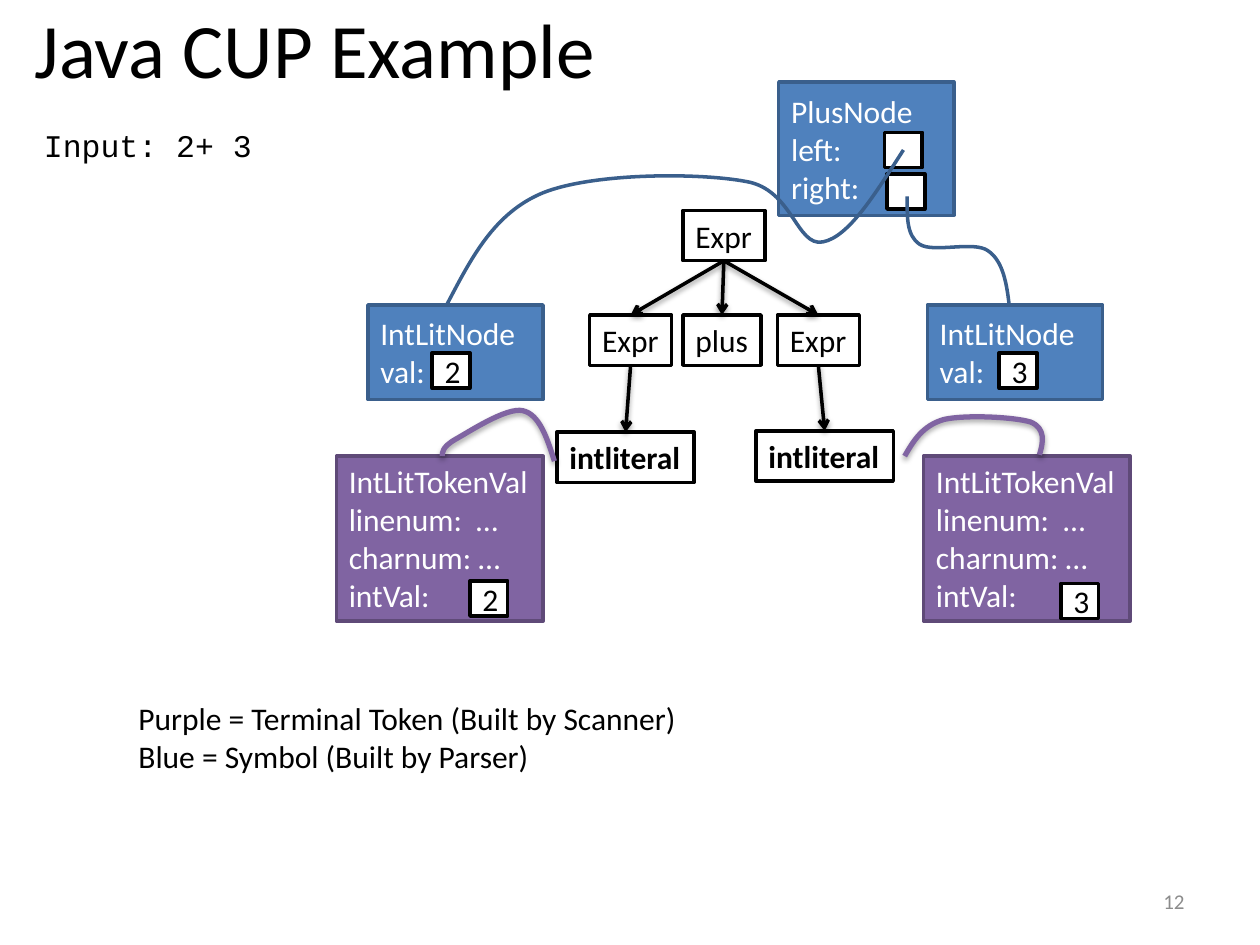
from lxml.etree import SubElement
from pptx import Presentation
from pptx.dml.color import RGBColor
from pptx.enum.shapes import MSO_CONNECTOR, MSO_SHAPE
from pptx.enum.text import MSO_ANCHOR, MSO_AUTO_SIZE, PP_ALIGN
from pptx.oxml.ns import qn
from pptx.util import Pt

PX = 9144  # EMU per px, 100 px to the inch

BLACK = RGBColor(0x00, 0x00, 0x00)
WHITE = RGBColor(0xFF, 0xFF, 0xFF)
GRAY = RGBColor(0x8C, 0x8C, 0x8C)
BLUE = RGBColor(0x4F, 0x81, 0xBD)
DARK_BLUE = RGBColor(0x3A, 0x5F, 0x8C)
PURPLE = RGBColor(0x80, 0x64, 0xA2)
DARK_PURPLE = RGBColor(0x5F, 0x4A, 0x78)

TOKEN_TEXT = "IntLitTokenVal\nlinenum:  …\ncharnum: …\nintVal:"


def emu(*lengths):
    return [length * PX for length in lengths]


def write(shape, text, size=18, color=BLACK, font="Calibri", bold=False,
          align=PP_ALIGN.LEFT, anchor=MSO_ANCHOR.TOP, grow=False):
    frame = shape.text_frame
    frame.text = text
    frame.word_wrap = not grow
    frame.auto_size = MSO_AUTO_SIZE.SHAPE_TO_FIT_TEXT if grow else MSO_AUTO_SIZE.NONE
    frame.vertical_anchor = anchor
    for paragraph in frame.paragraphs:
        paragraph.alignment = align
        for run in paragraph.runs:
            run.font.size = Pt(size)
            run.font.name = font
            run.font.bold = bold
            run.font.color.rgb = color


def add_label(slide, box, text, **style):
    write(slide.shapes.add_textbox(*emu(*box)), text, **style)


def add_box(slide, box, text="", fill=WHITE, line=BLACK, **style):
    shape = slide.shapes.add_shape(MSO_SHAPE.RECTANGLE, *emu(*box))
    shape.shadow.inherit = False
    shape.fill.solid()
    shape.fill.fore_color.rgb = fill
    shape.line.color.rgb = line
    shape.line.width = Pt(2)
    if text:
        write(shape, text, **style)
    return shape


def add_tree_node(slide, left, top, width, text, bold=False):
    return add_box(slide, (left, top, width, 40), text, bold=bold, grow=True)


def add_symbol(slide, left, top, height, text):
    add_box(slide, (left, top, 139, height), text, BLUE, DARK_BLUE,
            color=WHITE, anchor=MSO_ANCHOR.MIDDLE)


def add_token(slide, left):
    add_box(slide, (left, 362, 164, 131), TOKEN_TEXT, PURPLE, DARK_PURPLE,
            color=WHITE, grow=True)


def add_field(slide, left, top, value=""):
    """Small white cell that holds a node's value or pointer."""
    add_box(slide, (left, top, 30, 28), value,
            align=PP_ALIGN.CENTER, anchor=MSO_ANCHOR.MIDDLE)


def add_shadow(shape, opacity, distance):
    effects = SubElement(shape._element.spPr, qn("a:effectLst"))
    shadow = SubElement(effects, qn("a:outerShdw"), blurRad="40000",
                        dist=str(distance), dir="5400000", rotWithShape="0")
    color = SubElement(shadow, qn("a:srgbClr"), val=str(BLACK))
    SubElement(color, qn("a:alpha"), val=str(opacity * 1000))


def add_branch(slide, parent, child):
    """Arrow from the bottom of parent to the top of child."""
    arrow = slide.shapes.add_connector(MSO_CONNECTOR.STRAIGHT, 0, 0, 0, 0)
    arrow.begin_connect(parent, 2)
    arrow.end_connect(child, 0)
    arrow.line.color.rgb = BLACK
    arrow.line.width = Pt(2)
    SubElement(arrow.line._get_or_add_ln(), qn("a:tailEnd"), type="arrow")
    add_shadow(arrow, 38, 20000)


def add_curve(slide, points, color, width):
    """Bezier curve: a start, then two controls and an end for each piece."""
    builder = slide.shapes.build_freeform(*points[0], scale=PX)
    builder.add_line_segments(points[1:], close=False)
    curve = builder.convert_to_shape()
    outline = curve._element.spPr.find(".//" + qn("a:path"))
    steps = outline.findall(qn("a:lnTo"))
    for first in range(0, len(steps), 3):
        piece = SubElement(outline, qn("a:cubicBezTo"))
        for step in steps[first:first + 3]:
            piece.append(step[0])
            outline.remove(step)
    curve.shadow.inherit = False
    curve.fill.background()
    curve.line.color.rgb = color
    curve.line.width = Pt(width)
    return curve


def add_token_link(slide, points):
    curve = add_curve(slide, points, PURPLE, 3)
    curve._element.spPr.remove(curve._element.spPr.find(qn("a:effectLst")))
    add_shadow(curve, 35, 23000)


def add_parse_tree(slide):
    root = add_tree_node(slide, 542, 167, 65, "Expr")
    left = add_tree_node(slide, 468, 250, 65, "Expr")
    right = add_tree_node(slide, 617, 250, 65, "Expr")
    plus = add_tree_node(slide, 542, 250, 62, "plus")
    left_literal = add_tree_node(slide, 442, 343, 109, "intliteral", bold=True)
    right_literal = add_tree_node(slide, 600, 342, 109, "intliteral", bold=True)
    for parent, child in ((root, left), (root, right), (root, plus),
                          (left, left_literal), (right, right_literal)):
        add_branch(slide, parent, child)


def add_tokens(slide):
    for left in (267, 733):
        add_token(slide, left)
    add_token_link(slide, [(440, 366), (434, 347), (428, 329), (415, 326),
                           (402, 323), (372, 343), (361, 349),
                           (351, 355), (351, 359), (351, 362)])
    add_token_link(slide, [(718, 362), (725, 350), (732, 338), (749, 333),
                           (766, 329), (805, 331), (818, 335),
                           (830, 340), (828, 351), (825, 361)])


def add_syntax_tree(slide):
    for left in (292, 736):
        add_symbol(slide, left, 242, 75, "IntLitNode\nval:")
    add_symbol(slide, 618, 65, 106, "PlusNode\nleft:\nright:")
    add_field(slide, 702, 105)
    add_field(slide, 704, 138)
    add_curve(slide, [(717, 119), (695, 153), (674, 188), (653, 192),
                      (632, 196), (629, 150), (592, 144),
                      (555, 137), (471, 137), (431, 153),
                      (392, 169), (374, 205), (355, 241)], DARK_BLUE, 2)
    add_curve(slide, [(720, 156), (720, 171), (719, 187), (730, 194),
                      (741, 201), (773, 191), (784, 199),
                      (796, 207), (799, 225), (801, 243)], DARK_BLUE, 2)


def main():
    prs = Presentation()
    prs.slide_width, prs.slide_height = emu(1000, 750)
    slide = prs.slides.add_slide(prs.slide_layouts[6])

    add_label(slide, (-200, -25, 900, 125), "Java CUP Example", size=44,
              align=PP_ALIGN.CENTER, anchor=MSO_ANCHOR.MIDDLE)
    add_label(slide, (717, 695, 233, 40), "12", size=12, color=GRAY,
              align=PP_ALIGN.RIGHT, anchor=MSO_ANCHOR.MIDDLE)
    add_label(slide, (25, 95, 186, 40), "Input: 2+ 3", font="Courier New", grow=True)
    add_parse_tree(slide)
    add_tokens(slide)
    add_syntax_tree(slide)
    for left, top, value in ((343, 280, "2"), (793, 280, "3"),
                             (373, 461, "2"), (842, 463, "3")):
        add_field(slide, left, top, value)
    add_label(slide, (100, 550, 452, 71),
              "Purple = Terminal Token (Built by Scanner)\n"
              "Blue = Symbol (Built by Parser)", grow=True)

    prs.save("out.pptx")


if __name__ == "__main__":
    main()
